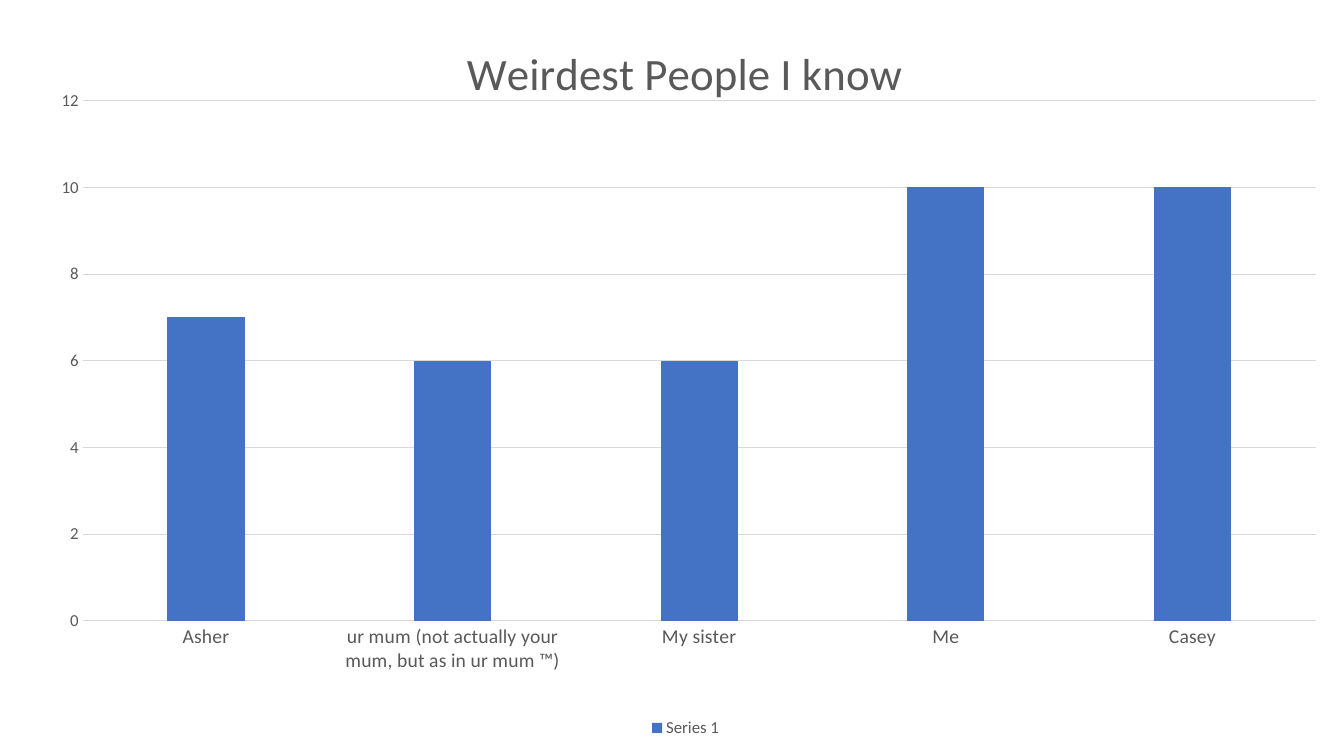
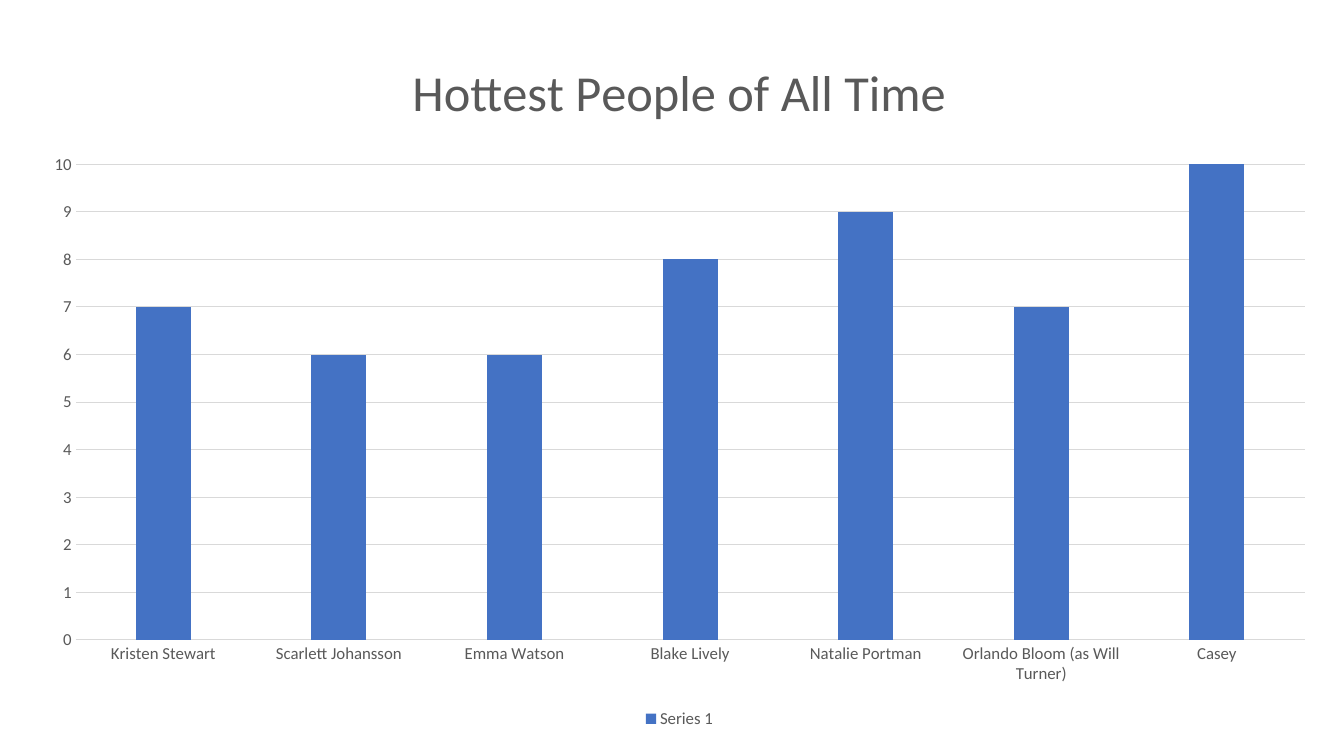
"""Build two slides, each with one column chart of ratings."""
from lxml import etree
from pptx import Presentation
from pptx.chart.data import CategoryChartData
from pptx.dml.color import RGBColor
from pptx.enum.chart import XL_CHART_TYPE, XL_LEGEND_POSITION, XL_TICK_MARK
from pptx.oxml.ns import qn
from pptx.util import Inches, Pt

COLUMNS = XL_CHART_TYPE.COLUMN_CLUSTERED
BOTTOM = XL_LEGEND_POSITION.BOTTOM
NO_TICK = XL_TICK_MARK.NONE
FONT = "Calibri"
COLORS = {"bar": "4472C4", "text": "595959", "grid": "D9D9D9"}
COLORS = {name: RGBColor.from_string(code) for name, code in COLORS.items()}


def style(font, size):
    font.name = FONT
    font.size = Pt(size)
    font.bold = False
    font.color.rgb = COLORS["text"]


def place(part, index, frame, spot, inner=False):
    for old in part.findall(qn("c:layout")):
        part.remove(old)
    layout = etree.Element(qn("c:layout"))
    part.insert(index, layout)
    manual = etree.SubElement(layout, qn("c:manualLayout"))
    left, top, width, height = frame
    pairs = [("xMode", "edge"), ("yMode", "edge"),
             ("x", (spot[0] - left) / width), ("y", (spot[1] - top) / height)]
    if inner:
        pairs.insert(0, ("layoutTarget", "inner"))
        pairs += [("w", spot[2] / width), ("h", spot[3] / height)]
    for tag, value in pairs:
        etree.SubElement(manual, qn("c:" + tag)).set("val", str(value))


SLIDES = [
    {"title": "Weirdest People I know", "size": 32, "labels": 14,
     "frame": (0.39, 0.15, 12.82, 7.21), "head": (4.55, 0.34),
     "plot": (0.82, 1, 12.23, 5.16), "top": 12, "step": 2,
     "data": {"Asher": 7,
              "ur mum (not actually your mum, but as in ur mum ™)": 6,
              "My sister": 6, "Me": 10, "Casey": 10}},
    {"title": "Hottest People of All Time", "size": 36, "labels": 12,
     "frame": (0.28, 0.28, 12.92, 6.99), "head": (4, 0.48),
     "plot": (0.75, 1.63, 12.19, 4.72), "top": 10, "step": 1,
     "data": {"Kristen Stewart": 7, "Scarlett Johansson": 6,
              "Emma Watson": 6, "Blake Lively": 8, "Natalie Portman": 9,
              "Orlando Bloom (as Will Turner)": 7, "Casey": 10}},
]

deck = Presentation()
deck.slide_width = Inches(13.33)
deck.slide_height = Inches(7.5)
blank = deck.slide_layouts[6]

for item in SLIDES:
    slide = deck.slides.add_slide(blank)
    data = CategoryChartData()
    data.categories = list(item["data"])
    data.add_series("Series 1", list(item["data"].values()))
    frame = item["frame"]
    chart = slide.shapes.add_chart(
        COLUMNS, *[Inches(n) for n in frame], data).chart
    style(chart.font, 10)

    chart.has_title = True
    title = chart.chart_title
    run = title.text_frame.paragraphs[0].add_run()
    run.text = item["title"]
    style(run.font, item["size"])
    place(title.element, 1, frame, item["head"])
    area = chart.element.find(".//" + qn("c:plotArea"))
    place(area, 0, frame, item["plot"], inner=True)

    chart.has_legend = True
    chart.legend.position = BOTTOM
    chart.legend.include_in_layout = False
    style(chart.legend.font, 12)

    plot = chart.plots[0]
    plot.gap_width = 219
    plot.overlap = -27
    plot.vary_by_categories = False
    fill = plot.series[0].format.fill
    fill.solid()
    fill.fore_color.rgb = COLORS["bar"]

    names, scale = chart.category_axis, chart.value_axis
    for axis, size in ((names, item["labels"]), (scale, 12)):
        axis.major_tick_mark = NO_TICK
        axis.minor_tick_mark = NO_TICK
        style(axis.tick_labels.font, size)
    scale.minimum_scale = 0
    scale.maximum_scale = item["top"]
    scale.major_unit = item["step"]
    scale.format.line.fill.background()
    for line in (names.format.line, scale.major_gridlines.format.line):
        line.color.rgb = COLORS["grid"]
        line.width = Pt(0.75)

deck.save("out.pptx")
